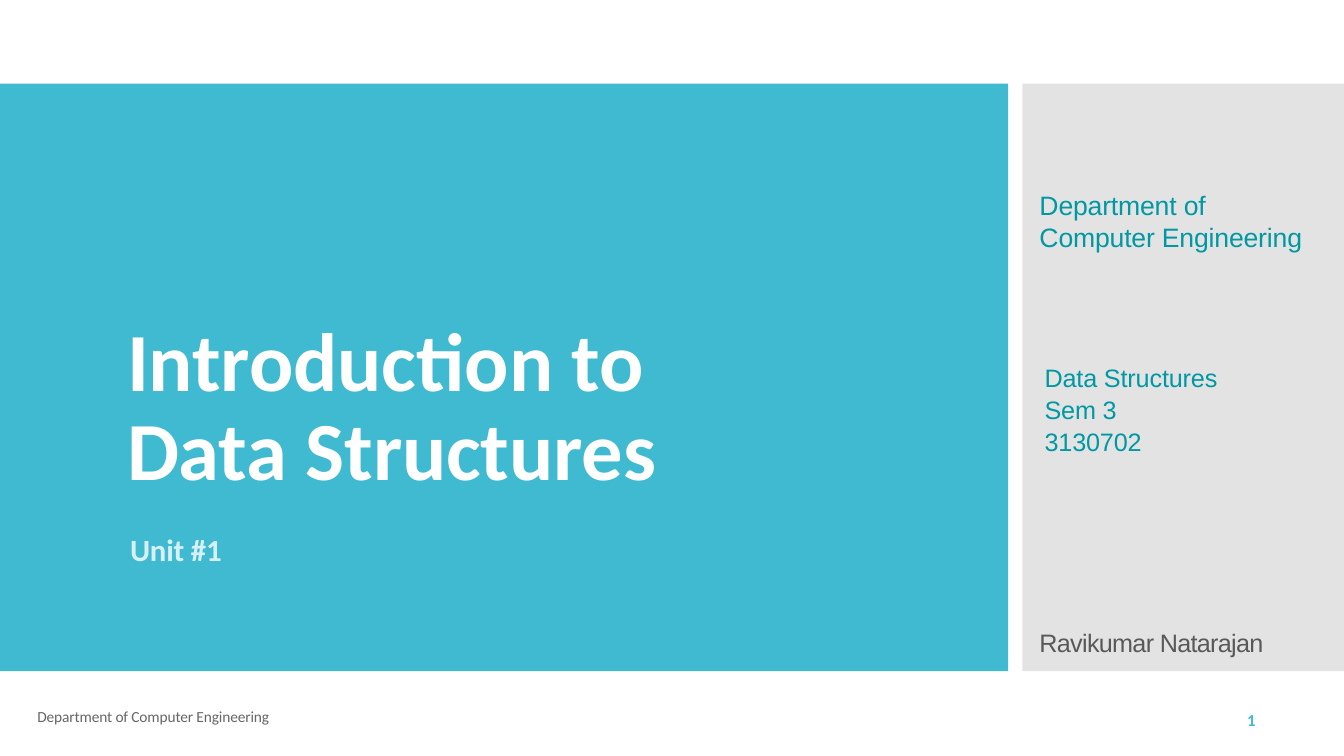
from dataclasses import dataclass

from lxml.etree import SubElement
from pptx import Presentation
from pptx.dml.color import RGBColor
from pptx.enum.shapes import MSO_SHAPE
from pptx.enum.text import MSO_ANCHOR, MSO_AUTO_SIZE, PP_ALIGN
from pptx.oxml.ns import qn
from pptx.util import Inches, Pt


@dataclass(frozen=True)
class Theme:
    turquoise: str = "40BAD1"
    panel_gray: str = "C8C8C8"
    teal: str = "0098A3"
    name_gray: str = "595959"
    footer_gray: str = "666666"
    white: str = "FFFFFF"
    pale_blue: str = "D7F0F6"
    heading_font: str = "Calibri"
    side_font: str = "Arial"
    title_size: int = 59
    unit_size: int = 22
    department_size: int = 19
    side_size: int = 18
    footer_size: int = 11
    number_size: int = 12


theme = Theme()


def add_panel(left, width, color):
    panel = slide.shapes.add_shape(
        MSO_SHAPE.RECTANGLE, Inches(left), Inches(0.83), Inches(width), Inches(5.83))
    panel.shadow.inherit = False
    panel.fill.solid()
    panel.fill.fore_color.rgb = RGBColor.from_string(color)
    panel.line.fill.background()
    return panel


def write_text(shape, box, lines, font_name, size, color, bold=False,
               top_inset=0.0, line_height=None, gap=0.0, spacing=-10, indent=0.01):
    shape.left, shape.top, shape.width, shape.height = [Inches(value) for value in box]
    frame = shape.text_frame
    frame.word_wrap = True
    frame.auto_size = MSO_AUTO_SIZE.NONE
    frame.vertical_anchor = MSO_ANCHOR.TOP
    frame.margin_left = frame.margin_right = frame.margin_bottom = 0
    frame.margin_top = Inches(top_inset)
    for index, line in enumerate(lines):
        paragraph = frame.add_paragraph() if index else frame.paragraphs[0]
        paragraph.alignment = PP_ALIGN.LEFT
        paragraph.space_before = Pt(gap if index else 0)
        if line_height:
            paragraph.line_spacing = Pt(line_height)
        properties = paragraph._p.get_or_add_pPr()
        properties.set("marL", str(Inches(indent)))
        properties.set("indent", "0")
        run = paragraph.add_run()
        run.text = line
        run.font.name = font_name
        run.font.size = Pt(size)
        run.font.bold = bold
        run.font.color.rgb = RGBColor.from_string(color)
        run._r.get_or_add_rPr().set("spc", str(spacing))


presentation = Presentation()
presentation.slide_width = Inches(13.33)
presentation.slide_height = Inches(7.5)
slide = presentation.slides.add_slide(presentation.slide_layouts[5])

# Colour panels, the side one half transparent
add_panel(0, 10, theme.turquoise)
side_panel = add_panel(10.14, 3.19, theme.panel_gray)
side_color = side_panel._element.spPr.find(qn("a:solidFill"))[0]
SubElement(side_color, qn("a:alpha")).set("val", "50000")

# Title, raised above the panels
title = slide.shapes.title
slide.shapes._spTree.append(title._element)
write_text(title, (1.25, 3.04, 5.58, 1.9), ["Introduction to Data Structures"],
           theme.heading_font, theme.title_size, theme.white, bold=True,
           top_inset=0.12, line_height=63.8)

# Remaining text: box, lines, font, size, colour, further settings
texts = [
    ((1.28, 5.26, 1.22, 0.38), ["Unit #1"], theme.heading_font, theme.unit_size,
     theme.pale_blue, dict(bold=True, top_inset=0.01)),
    ((10.3, 1.85, 2.75, 0.65), ["Department of Computer Engineering"],
     theme.side_font, theme.department_size, theme.teal,
     dict(top_inset=0.03, line_height=22.5)),
    ((10.35, 3.57, 2.39, 0.97), ["Data Structures", "Sem 3", "3130702"],
     theme.side_font, theme.side_size, theme.teal,
     dict(top_inset=0.05, line_height=19.5, gap=3.4)),
    ((10.3, 6.21, 2.43, 0.32), ["Ravikumar Natarajan"], theme.side_font,
     theme.side_size, theme.name_gray, dict(top_inset=0.01, spacing=-50)),
    ((0.36, 7.04, 2.49, 0.18), ["Department of Computer Engineering"],
     theme.heading_font, theme.footer_size, theme.footer_gray, dict(line_height=11.4)),
    ((12.33, 7.07, 0.26, 0.19), ["1"], theme.heading_font, theme.number_size,
     theme.turquoise, dict(bold=True, line_height=12.3, spacing=0, indent=0.04)),
]
for box, lines, font_name, size, color, settings in texts:
    text_box = slide.shapes.add_textbox(0, 0, 0, 0)
    write_text(text_box, box, lines, font_name, size, color, **settings)

presentation.save("out.pptx")
